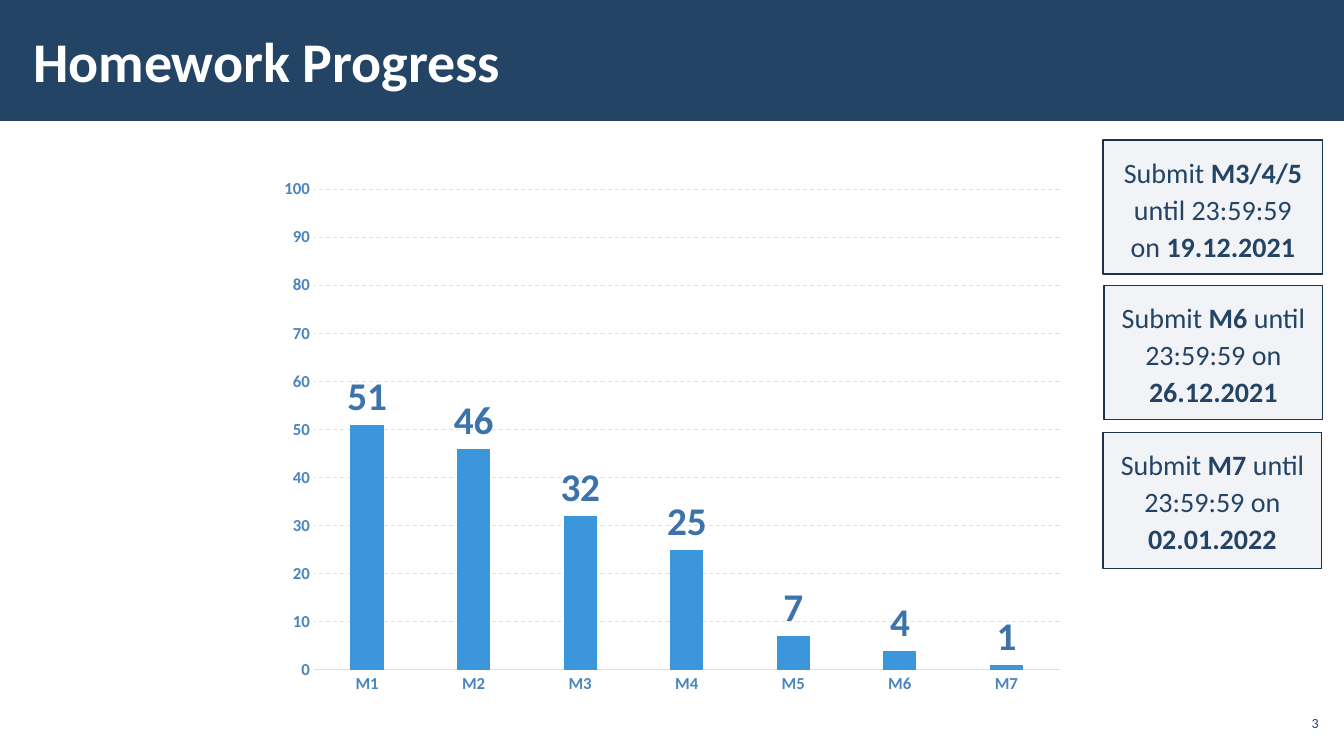
import pptx
import pptx.util
import pptx.chart.data
import pptx.dml.color
import pptx.enum.chart
import pptx.enum.dml
import pptx.enum.shapes
import pptx.enum.text
import pptx.oxml
from pptx.oxml.ns import qn, nsdecls

# Content
TITLE = "Homework Progress"
PAGE = "3"
MILESTONES = ["M1", "M2", "M3", "M4", "M5", "M6", "M7"]
SUBMISSIONS = [51, 46, 32, 25, 7, 4, 1]
LINE_VALUES = [1]
DEADLINES = [  # milestone, date, left, top, width, height
    ("M3/4/5", "19.12.2021", 10.94, 1.39, 2.18, 1.33),
    ("M6", "26.12.2021", 10.95, 2.83, 2.17, 1.33),
    ("M7", "02.01.2022", 10.94, 4.29, 2.17, 1.35),
]

FONT = "Calibri"
NAVY, WHITE, BORDER, PANEL = "234465", "FFFFFF", "1A334C", "ADB4C3"
BAR, BAR_LABEL, LINE = "3C96DC", "3B73AA", "90C1FA"
AXIS_TEXT, GRID = "4A85C0", "D5E3F1"

Inches, Pt = pptx.util.Inches, pptx.util.Pt
ALIGN, ANCHOR = pptx.enum.text.PP_ALIGN, pptx.enum.text.MSO_ANCHOR
CHART = pptx.enum.chart


def rgb(value):
    return pptx.dml.color.RGBColor.from_string(value)


def set_font(font, size, color, bold=False):
    font.name, font.size, font.bold = FONT, Pt(size), bold
    font.color.rgb = rgb(color)


def add_rect(s, box, fill):
    sp = s.shapes.add_shape(pptx.enum.shapes.MSO_SHAPE.RECTANGLE, *map(Inches, box))
    sp.shadow.inherit = False
    sp.fill.solid()
    sp.fill.fore_color.rgb = rgb(fill)
    sp.line.fill.background()
    return sp


def write(sp, runs, size, color, align, inset):
    tf = sp.text_frame
    tf.word_wrap = True
    tf.margin_left = tf.margin_right = Inches(inset[0])
    tf.margin_top = tf.margin_bottom = Inches(inset[1])
    tf.vertical_anchor = ANCHOR.MIDDLE
    p = tf.paragraphs[0]
    p.alignment = align
    for text, bold in runs:
        r = p.add_run()
        r.text = text
        set_font(r.font, size, color, bold)
    return tf


prs = pptx.Presentation()
prs.slide_width, prs.slide_height = Inches(13.33), Inches(7.5)
s = prs.slides.add_slide(prs.slide_layouts[6])

# Title band and page number
add_rect(s, (0, 0, 13.33, 1.2), NAVY)
title = s.shapes.add_textbox(*map(Inches, (0.21, 0.11, 10.63, 0.97)))
write(title, [(TITLE, True)], 40, WHITE, ALIGN.LEFT, (0.12, 0.04))
number = s.shapes.add_textbox(*map(Inches, (12.65, 7, 0.47, 0.34)))
write(number, [(PAGE, False)], 10, NAVY, ALIGN.RIGHT, (0.04, 0.04))

# Chart
data = pptx.chart.data.CategoryChartData()
data.categories = MILESTONES
data.add_series("Series 1", SUBMISSIONS)
data.add_series("Series 2", LINE_VALUES)
chart = s.shapes.add_chart(CHART.XL_CHART_TYPE.COLUMN_CLUSTERED,
                           *map(Inches, (2.66, 1.67, 8.01, 5.32)), data).chart
chart.has_legend = chart.has_title = False
set_font(chart.font, 10, NAVY)

for axis in (chart.category_axis, chart.value_axis):
    axis.major_tick_mark = axis.minor_tick_mark = CHART.XL_TICK_MARK.NONE
    set_font(axis.tick_labels.font, 12, AXIS_TEXT, True)
value_axis = chart.value_axis
value_axis.minimum_scale, value_axis.maximum_scale, value_axis.major_unit = 0, 100, 10
value_axis.format.line.fill.background()
value_axis.has_major_gridlines = True
for line in (chart.category_axis.format.line, value_axis.major_gridlines.format.line):
    line.color.rgb = rgb(GRID)
    line.width = Pt(0.75)
value_axis.major_gridlines.format.line.dash_style = pptx.enum.dml.MSO_LINE.DASH

bars = chart.plots[0]
bars.gap_width = 219
bars.vary_by_categories = False
columns = bars.series[0]
columns.format.fill.solid()
columns.format.fill.fore_color.rgb = rgb(BAR)
labels = columns.data_labels
labels.show_value = True
labels.position = CHART.XL_LABEL_POSITION.OUTSIDE_END
set_font(labels.font, 28, BAR_LABEL, True)

# Second series as a line on the same axes
bar_xml = columns._element.getparent()
line_ser = bars.series[1]._element
for flag in line_ser.findall(qn("c:invertIfNegative")):
    line_ser.remove(flag)
line_xml = pptx.oxml.parse_xml(
    f'<c:lineChart {nsdecls("c")}><c:grouping val="standard"/>'
    '<c:varyColors val="0"/><c:marker val="1"/></c:lineChart>')
line_xml.insert(2, line_ser)
for ax_id in bar_xml.findall(qn("c:axId")):
    line_xml.append(pptx.oxml.parse_xml(
        f'<c:axId {nsdecls("c")} val="{ax_id.get("val")}"/>'))
bar_xml.addnext(line_xml)
trend = chart.plots[1].series[0]
trend.smooth = False
trend.marker.style = CHART.XL_MARKER_STYLE.NONE
trend.format.line.color.rgb = rgb(LINE)
trend.format.line.width = Pt(2.25)

# Deadline boxes
for milestone, date, *box in DEADLINES:
    sp = add_rect(s, box, PANEL)
    color = sp._element.spPr.find(qn("a:solidFill"))[0]
    color.append(pptx.oxml.parse_xml(f'<a:alpha {nsdecls("a")} val="15000"/>'))
    sp.line.color.rgb = rgb(BORDER)
    sp.line.width = Pt(1)
    runs = [("Submit ", False), (milestone, True),
            (" until 23:59:59 on ", False), (date, True)]
    tf = write(sp, runs, 20, NAVY, ALIGN.CENTER, (0.16, 0.12))
    tf.auto_size = pptx.enum.text.MSO_AUTO_SIZE.SHAPE_TO_FIT_TEXT
    tf.vertical_anchor = ANCHOR.TOP
    tf.paragraphs[0].line_spacing = 1.1

prs.save("out.pptx")
